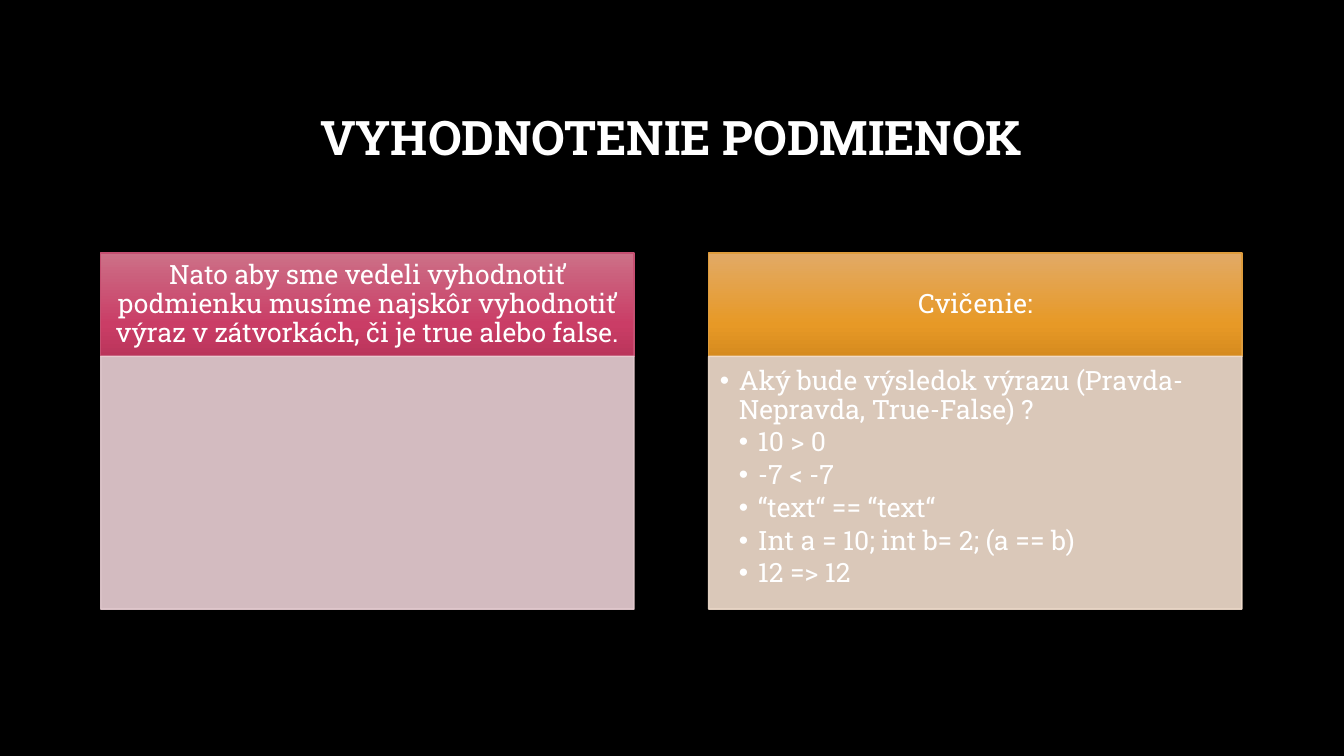
from dataclasses import dataclass

from lxml.etree import SubElement
from pptx import Presentation
from pptx.dml.color import RGBColor
from pptx.enum.shapes import MSO_SHAPE
from pptx.enum.text import MSO_ANCHOR, PP_ALIGN
from pptx.oxml.ns import qn
from pptx.util import Cm, Pt


@dataclass(frozen=True)
class Theme:
    font: str = "Roboto Slab"
    background: str = "000000"
    text: str = "FFFFFF"
    title_size: int = 34
    body_size: int = 19
    line_spacing: float = 0.9


@dataclass(frozen=True)
class Palette:
    gradient: tuple
    border: str
    body: str


THEME = Theme()
PINK = Palette(((0, "CC7087"), (69, "CA3D66"), (100, "BA355B")), "C54F71", "EAD0D5")
ORANGE = Palette(((0, "E2AA66"), (69, "E79926"), (100, "D68B1F")), "DE9C3C", "F2DECE")

TITLE = "VYHODNOTENIE PODMIENOK"
# Each card: heading, palette, bullets as (level, text)
CARDS = [
    ("Nato aby sme vedeli vyhodnotiť podmienku musíme najskôr vyhodnotiť "
     "výraz v zátvorkách, či je true alebo false.", PINK, []),
    ("Cvičenie:", ORANGE, [
        (0, "Aký bude výsledok výrazu (Pravda-Nepravda, True-False) ?"),
        (1, "10 > 0"),
        (1, "-7 < -7"),
        (1, "“text“ == “text“"),
        (1, "Int a = 10; int b= 2; (a == b)"),
        (1, "12 => 12"),
    ]),
]


def rgb(value):
    return RGBColor.from_string(value)


def format_paragraph(p, size, align, bold=False):
    p.alignment = align
    p.line_spacing = THEME.line_spacing
    for r in p.runs:
        r.font.name = THEME.font
        r.font.size = Pt(size)
        r.font.bold = bold
        r.font.color.rgb = rgb(THEME.text)


def set_frame(tf, anchor, left, top, right, bottom):
    tf.word_wrap = True
    tf.vertical_anchor = anchor
    tf.margin_left, tf.margin_top = Cm(left), Cm(top)
    tf.margin_right, tf.margin_bottom = Cm(right), Cm(bottom)


def add_rect(s, left, top, width, height, border):
    sp = s.shapes.add_shape(MSO_SHAPE.RECTANGLE, Cm(left), Cm(top), Cm(width), Cm(height))
    sp.shadow.inherit = False
    sp.line.color.rgb = rgb(border)
    sp.line.width = Pt(1)
    return sp


def fill_gradient(sp, stops):
    sp.fill.gradient()
    sp.fill.gradient_angle = 270
    stop_list = sp.element.spPr.find(".//" + qn("a:gsLst"))
    stop_list.clear()
    for position, color in stops:
        stop = SubElement(stop_list, qn("a:gs"), pos=str(position * 1000))
        SubElement(stop, qn("a:srgbClr"), val=color)


def add_drop_shadow(sp):
    effects = sp.element.spPr.find(qn("a:effectLst"))
    shadow = SubElement(effects, qn("a:outerShdw"), blurRad=str(Pt(4)), dist=str(Pt(3)),
                        dir="5400000", rotWithShape="0")
    color = SubElement(shadow, qn("a:srgbClr"), val="000000")
    SubElement(color, qn("a:alpha"), val="54000")


def add_bullet(p, level):
    p.level = level
    indent = Cm(0.48)
    pPr = p._p.get_or_add_pPr()
    pPr.set("marL", str(indent * (level + 1)))
    pPr.set("indent", str(-indent))
    SubElement(pPr, qn("a:buFont"), typeface="Arial")
    SubElement(pPr, qn("a:buChar"), char="•")


def add_title(s, left, top, width, height):
    sp = s.shapes.title
    sp.left, sp.top, sp.width, sp.height = Cm(left), Cm(top), Cm(width), Cm(height)
    tf = sp.text_frame
    tf.text = TITLE
    set_frame(tf, MSO_ANCHOR.MIDDLE, 0.25, 0.13, 0.25, 0.13)
    format_paragraph(tf.paragraphs[0], THEME.title_size, PP_ALIGN.CENTER, bold=True)


def add_card(s, left, top, width, height, heading, palette, bullets):
    header_height = 2.6

    # Heading band
    header = add_rect(s, left, top, width, header_height, palette.border)
    fill_gradient(header, palette.gradient)
    add_drop_shadow(header)
    tf = header.text_frame
    tf.text = heading
    set_frame(tf, MSO_ANCHOR.MIDDLE, 0.38, 0.2, 0.38, 0.2)
    format_paragraph(tf.paragraphs[0], THEME.body_size, PP_ALIGN.CENTER)

    # Translucent body
    body = add_rect(s, left, top + header_height, width, height - header_height, palette.body)
    body.fill.solid()
    body.fill.fore_color.rgb = rgb(palette.body)
    for color in body.element.spPr.iter(qn("a:srgbClr")):
        SubElement(color, qn("a:alpha"), val="90000")

    # Bullets
    tf = body.text_frame
    set_frame(tf, MSO_ANCHOR.TOP, 0.28, 0.28, 0.38, 0.43)
    for i, (level, text) in enumerate(bullets):
        p = tf.add_paragraph() if i else tf.paragraphs[0]
        p.text = text
        format_paragraph(p, THEME.body_size, PP_ALIGN.LEFT)
        p.space_before = Pt(0)
        p.space_after = Pt(2.85)
        add_bullet(p, level)


def add_cards(s, left, top, width, height, gap):
    card_width = (width - gap * (len(CARDS) - 1)) / len(CARDS)
    for i, card in enumerate(CARDS):
        add_card(s, left + i * (card_width + gap), top, card_width, height, *card)


def main():
    prs = Presentation()
    prs.slide_width, prs.slide_height = Cm(33.87), Cm(19.05)
    s = prs.slides.add_slide(prs.slide_layouts[5])
    s.background.fill.solid()
    s.background.fill.fore_color.rgb = rgb(THEME.background)

    left, width = 2.54, 28.76
    add_title(s, left, 1.7, width, 3.68)
    add_cards(s, left, 6.38, width, 8.97, gap=1.88)
    prs.save("out.pptx")


if __name__ == "__main__":
    main()
